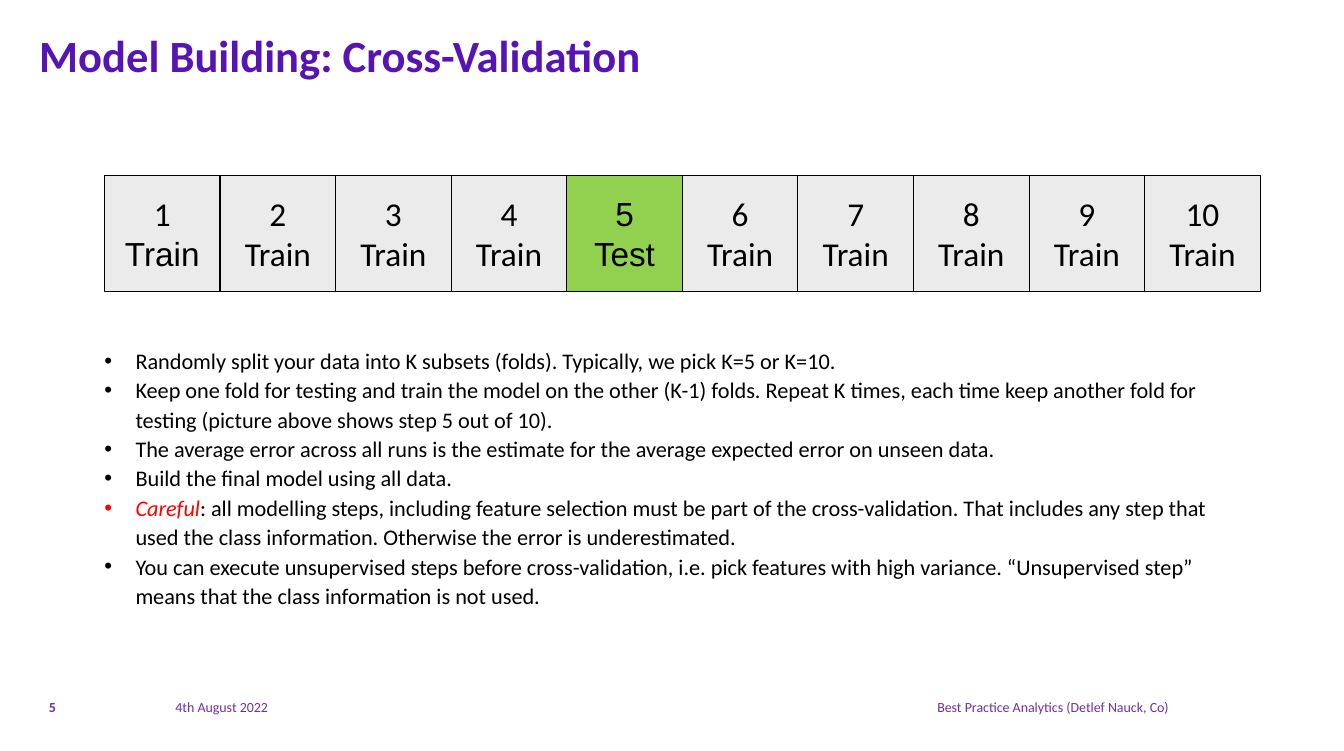
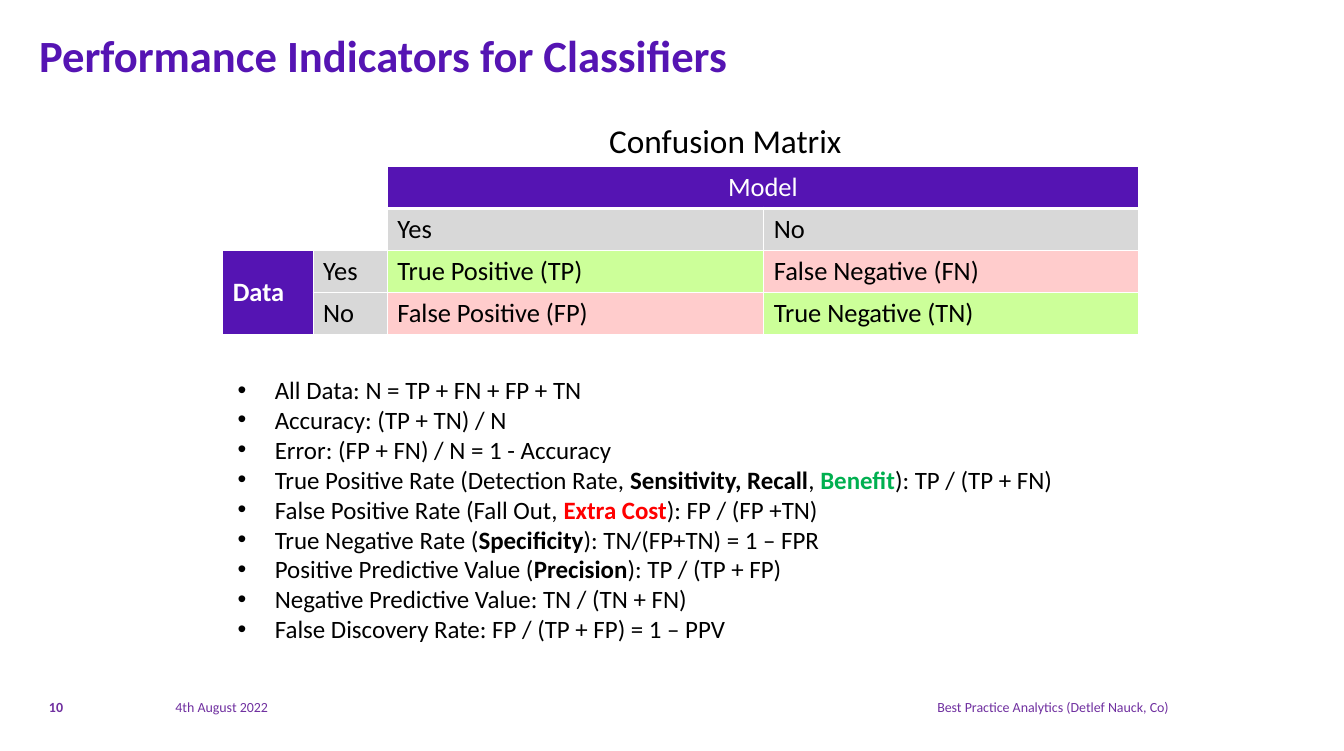
"""Build two slides on cross-validation and classifier performance indicators."""
from lxml.etree import SubElement
from pptx import Presentation
from pptx.dml.color import RGBColor
from pptx.enum.shapes import MSO_SHAPE
from pptx.enum.text import MSO_ANCHOR, MSO_AUTO_SIZE, PP_ALIGN
from pptx.oxml import parse_xml
from pptx.oxml.ns import nsdecls, qn
from pptx.util import Inches, Pt

PURPLE, FOOTER_PURPLE, BLACK, WHITE, RED = "5514B3", "7030A0", "000000", "FFFFFF", "FF0000"
FOLD_GREY, TEST_GREEN, HEADER_GREY = "EBEBEB", "92D050", "D8D8D8"
RIGHT_GREEN, WRONG_PINK, BENEFIT_GREEN = "CCFF99", "FFCCCC", "00B050"
INSETS = ("margin_left", "margin_top", "margin_right", "margin_bottom")
SIDES = ("left", "top", "width", "height")
BOLD = {"bold": True}


def paint(fill, colour):
    """Give a fill (of a shape, line, cell or font) one solid hex colour."""
    fill.solid()
    fill.fore_color.rgb = RGBColor.from_string(colour)


def write(frame, paragraphs, size, colour=BLACK, align=PP_ALIGN.LEFT, indent=0, spacing=1.0,
          insets=(0.1, 0.05, 0.1, 0.05), anchor=MSO_ANCHOR.TOP, wrap=True, **look):
    """Fill a text frame; each paragraph is a list of (text, font values) runs."""
    frame.word_wrap, frame.vertical_anchor = wrap, anchor
    for side, inset in zip(INSETS, insets):
        setattr(frame, side, Inches(inset))
    for index, runs in enumerate(paragraphs):
        line = frame.add_paragraph() if index else frame.paragraphs[0]
        line.alignment, line.line_spacing = align, spacing
        if indent:
            properties = line._p.get_or_add_pPr()
            properties.set("marL", str(Inches(indent)))
            properties.set("indent", str(-Inches(indent)))
            SubElement(properties, qn("a:buFont"), typeface="Arial")
            SubElement(properties, qn("a:buChar"), char="•")
        for text, changes in runs:
            run = line.add_run()
            run.text = text
            values = {"name": "Calibri", "size": Pt(size), "bold": False, "colour": colour}
            values |= look | changes
            paint(run.font.fill, values.pop("colour"))
            for attribute, value in values.items():
                setattr(run.font, attribute, value)


validation_steps = [
    [("Randomly split your data into K subsets (folds). Typically, we pick K=5 or K=10.", {})],
    [("Keep one fold for testing and train the model on the other (K-1) folds. Repeat K times, "
      "each time keep another fold for testing (picture above shows step 5 out of 10).", {})],
    [("The average error across all runs is the estimate for the average expected error on "
      "unseen data.", {})],
    [("Build the final model using all data.", {})],
    [("Careful", {"colour": RED, "italic": True}),
     (": all modelling steps, including feature selection must be part of the cross-validation. "
      "That includes any step that used the class information. Otherwise the error is "
      "underestimated.", {})],
    [("You can execute unsupervised steps before cross-validation, i.e. pick features with high "
      "variance. “Unsupervised step” means that the class information is not used.", {})],
]
indicators = [
    [("All Data: N = TP + FN + FP + TN", {})],
    [("Accuracy: (TP + TN) / N", {})],
    [("Error: (FP + FN) / N = 1 - Accuracy", {})],
    [("True Positive Rate (Detection Rate, ", {}), ("Sensitivity, Recall", BOLD), (", ", {}),
     ("Benefit", BOLD | {"colour": BENEFIT_GREEN}), ("): TP / (TP + FN)", {})],
    [("False Positive Rate (Fall Out, ", {}), ("Extra Cost", BOLD | {"colour": RED}),
     ("): FP / (FP +TN)", {})],
    [("True Negative Rate (", {}), ("Specificity", BOLD), ("): TN/(FP+TN) = 1 – FPR", {})],
    [("Positive Predictive Value (", {}), ("Precision", BOLD), ("): TP / (TP + FP)", {})],
    [("Negative Predictive Value: TN / (TN + FN)", {})],
    [("False Discovery Rate: FP / (TP + FP) = 1 – PPV", {})],
]

deck = Presentation()
deck.slide_width, deck.slide_height = Inches(13.39), Inches(7.48)
column, row = deck.slide_width / 100, deck.slide_height / 100

title_look = {"size": 32, "colour": PURPLE, "bold": True, "insets": (0, 0, 0, 0)}
footer_look = {"size": 10, "colour": FOOTER_PURPLE}
steps_look = {"size": 16, "indent": 0.31, "spacing": 1.1, "insets": (0, 0, 0, 0)}
pages = [
    ("Model Building: Cross-Validation", "5",
     [((7.77, 45.86, 84.39, 41.18), validation_steps, steps_look)]),
    ("Performance Indicators for Classifiers", "10",
     [((16.95, 49.2, 72.14, 37.43), indicators, {"size": 17.9, "indent": 0.37}),
      ((44.59, 15.37, 19.04, 6.68), [[("Confusion Matrix", {})]], {"size": 23.9, "wrap": False})]),
]
for title, number, texts in pages:
    slide = deck.slides.add_slide(deck.slide_layouts[5])
    slide.shapes.title.text_frame.auto_size = MSO_AUTO_SIZE.NONE
    shared = [
        ((2.91, 3.74, 94.17, 11.63), [[(title, {})]], title_look),
        ((12.32, 92.38, 15.24, 3.88), [[("4th August 2022", {})]], footer_look),
        ((30.02, 92.38, 57.66, 3.88), [[("Best Practice Analytics (Detlef Nauck, Co)", {})]],
         footer_look | {"align": PP_ALIGN.RIGHT}),
        ((2.91, 92.38, 2.91, 3.88), [[(number, {})]], footer_look | BOLD),
    ]
    for box, paragraphs, look in shared + texts:
        is_title = look is title_look
        holder = slide.shapes.title if is_title else slide.shapes.add_textbox(0, 0, 0, 0)
        for side, share, unit in zip(SIDES, box, (column, row) * 2):
            setattr(holder, side, round(share * unit))
        write(holder.text_frame, paragraphs, **look)

validation, performance = deck.slides

fold_size = round(8.6 * column)
fold_left, fold_top = round(7.77 * column), round(23.4 * row)
for fold in range(1, 11):
    tested = fold == 5
    square = validation.shapes.add_shape(
        MSO_SHAPE.RECTANGLE, fold_left + (fold - 1) * fold_size, fold_top, fold_size, fold_size)
    square.shadow.inherit = False
    paint(square.fill, TEST_GREEN if tested else FOLD_GREY)
    paint(square.line.fill, BLACK)
    square.line.width = Pt(0.75)
    number_font = {"name": "Arial" if tested else "Calibri"}
    role_font = {"name": "Arial" if fold in (1, 5) else "Calibri"}
    write(square.text_frame,
          [[(str(fold), number_font)], [("Test" if tested else "Train", role_font)]],
          23.9, align=PP_ALIGN.CENTER, anchor=MSO_ANCHOR.MIDDLE, insets=(0.13, 0.07, 0.13, 0.07))

matrix_rows = [
    [("", WHITE), ("", WHITE), ("Model", PURPLE), ("", PURPLE)],
    [("", WHITE), ("", WHITE), ("Yes", HEADER_GREY), ("No", HEADER_GREY)],
    [("Data", PURPLE), ("Yes", HEADER_GREY),
     ("True Positive (TP)", RIGHT_GREEN), ("False Negative (FN)", WRONG_PINK)],
    [("", PURPLE), ("No", HEADER_GREY),
     ("False Positive (FP)", WRONG_PINK), ("True Negative (TN)", RIGHT_GREEN)],
]
matrix_columns = (6.72, 5.53, 28.01, 27.86)
matrix = performance.shapes.add_table(
    4, 4, round(16.58 * column), round(22.19 * row),
    round(sum(matrix_columns) * column), round(4 * 5.58 * row)).table
for matrix_column, share in zip(matrix.columns, matrix_columns):
    matrix_column.width = round(share * column)
matrix.cell(0, 2).merge(matrix.cell(0, 3))
matrix.cell(2, 0).merge(matrix.cell(3, 0))
header_looks = {
    "Model": {"colour": WHITE, "align": PP_ALIGN.CENTER},
    "Data": {"colour": WHITE, "bold": True},
}
for r, entries in enumerate(matrix_rows):
    for c, (text, colour) in enumerate(entries):
        cell = matrix.cell(r, c)
        if text:
            write(cell.text_frame, [[(text, {})]], 19, **header_looks.get(text, {}))
        cell.vertical_anchor = MSO_ANCHOR.MIDDLE if text == "Data" else MSO_ANCHOR.TOP
        paint(cell.fill, colour)
        for position, edge in enumerate("LRTB"):
            heavy = (r, edge) in ((0, "B"), (1, "T"))
            cell._tc.get_or_add_tcPr().insert(position, parse_xml(
                f'<a:ln{edge} {nsdecls("a")} w="{Pt(3 if heavy else 1)}"><a:solidFill>'
                f'<a:srgbClr val="{WHITE}"/></a:solidFill></a:ln{edge}>'))

deck.save("out.pptx")
